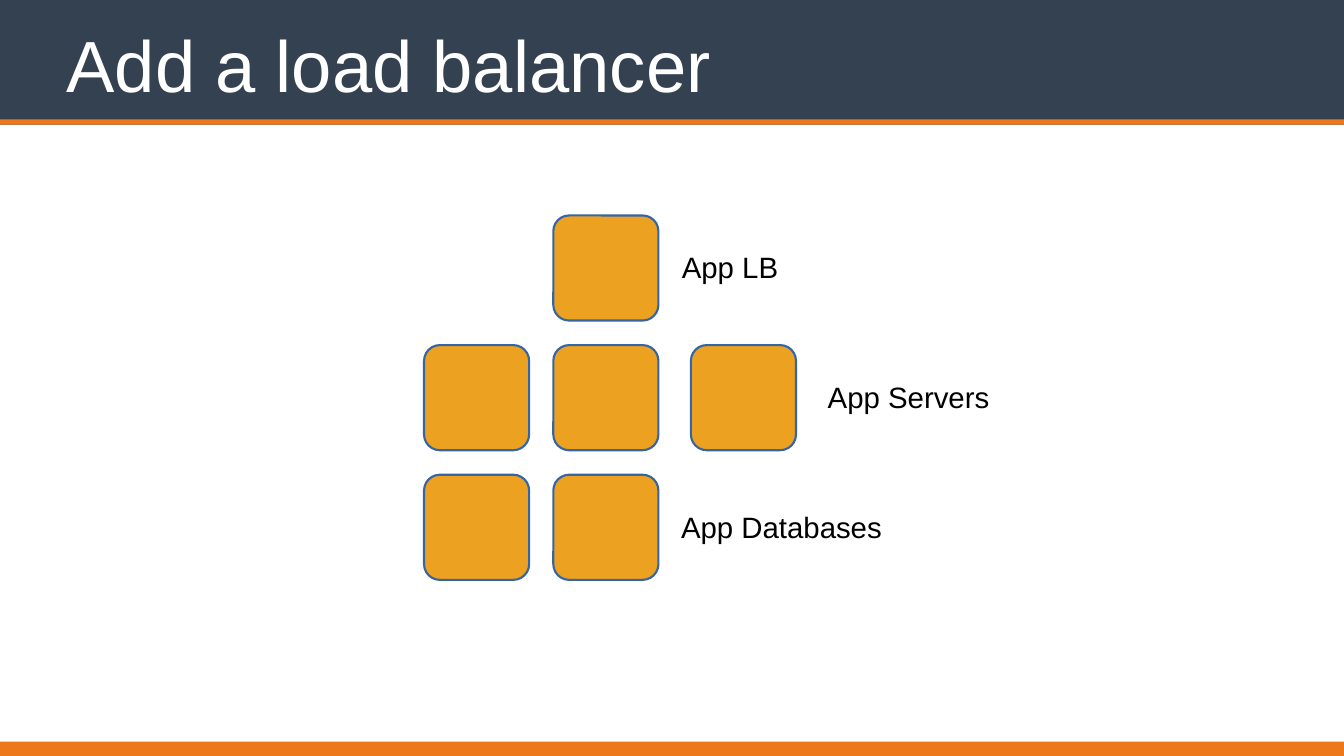
from lxml import etree
from pptx import Presentation
from pptx.dml.color import RGBColor
from pptx.enum import shapes, text
from pptx.oxml import parse_xml
from pptx.oxml.ns import nsdecls, qn
from pptx.util import Inches, Pt

SLATE = RGBColor(0x33, 0x41, 0x50)
ORANGE = RGBColor(0xED, 0x78, 0x1C)
AMBER = RGBColor(0xED, 0xA1, 0x20)
BLUE = RGBColor(0x34, 0x65, 0xA4)
BLACK = RGBColor(0, 0, 0)
WHITE = RGBColor(0xFF, 0xFF, 0xFF)

PAGE_WIDTH, PAGE_HEIGHT = 17.78, 10
NODE_SIZE = 1.39
ROW_PITCH = 1.715
COLUMNS = [0, 1.71, 3.53]
LABEL_TOP, LABEL_HEIGHT = 0.47, 0.43

TIERS = [
    ("App LB", [1], 3.41, 1.29),
    ("App Servers", [0, 1, 2], 5.34, 2.15),
    ("App Databases", [0, 1], 3.4, 2.67),
]


def add_block(page, kind, left, top, width, height, fill):
    block = page.shapes.add_shape(
        kind, Inches(left), Inches(top), Inches(width), Inches(height))
    block.shadow.inherit = False
    block.fill.solid()
    block.fill.fore_color.rgb = fill
    block.line.fill.background()
    return block


def add_text(page, left, top, width, height, words, size, color, anchor, wrap):
    box = page.shapes.add_textbox(
        Inches(left), Inches(top), Inches(width), Inches(height))
    frame = box.text_frame
    frame.margin_left = frame.margin_right = 0
    frame.margin_top = frame.margin_bottom = 0
    frame.vertical_anchor = anchor
    frame.word_wrap = wrap
    frame.text = words
    span = frame.paragraphs[0].runs[0]
    span.font.size = Pt(size)
    span.font.name = "Arial"
    span.font.color.rgb = color
    return span


def add_text_shadow(span):
    effects = parse_xml(f"<a:effectLst {nsdecls('a')}/>")
    shadow = etree.SubElement(
        effects, qn("a:outerShdw"), blurRad="38100", dist="38100", dir="2700000")
    color = etree.SubElement(shadow, qn("a:srgbClr"), val="000000")
    etree.SubElement(color, qn("a:alpha"), val="80000")
    span.font._element.find(qn("a:solidFill")).addnext(effects)


def add_header(page, left, top, width, height):
    rule = 0.07
    add_block(page, shapes.MSO_SHAPE.RECTANGLE, left, top, width, height, SLATE)
    add_block(page, shapes.MSO_SHAPE.RECTANGLE,
              left, top + height - rule, width, rule, ORANGE)
    title = add_text(page, left + 0.88, top + 0.19, width - 1.75, 1.22,
                     "Add a load balancer", 69, WHITE,
                     text.MSO_ANCHOR.BOTTOM, True)
    add_text_shadow(title)


def add_footer(page, left, top, width, height):
    add_block(page, shapes.MSO_SHAPE.RECTANGLE, left, top, width, height, ORANGE)


def add_tier(page, left, top, label, columns, label_left, label_width):
    for column in columns:
        node = add_block(page, shapes.MSO_SHAPE.ROUNDED_RECTANGLE,
                         left + COLUMNS[column], top, NODE_SIZE, NODE_SIZE, AMBER)
        node.adjustments[0] = 0.15
        node.line.color.rgb = BLUE
        node.line.width = Pt(2)
    add_text(page, left + label_left, top + LABEL_TOP, label_width, LABEL_HEIGHT,
             label, 28, BLACK, text.MSO_ANCHOR.MIDDLE, False)


def add_architecture(page, left, top):
    for row, tier in enumerate(TIERS):
        add_tier(page, left, top + row * ROW_PITCH, *tier)


def main():
    deck = Presentation()
    deck.slide_width = Inches(PAGE_WIDTH)
    deck.slide_height = Inches(PAGE_HEIGHT)
    page = deck.slides.add_slide(deck.slide_layouts[6])
    add_header(page, 0, 0, PAGE_WIDTH, 1.65)
    add_footer(page, 0, 9.81, PAGE_WIDTH, 0.19)
    add_architecture(page, 5.61, 2.85)
    deck.save("out.pptx")


if __name__ == "__main__":
    main()
